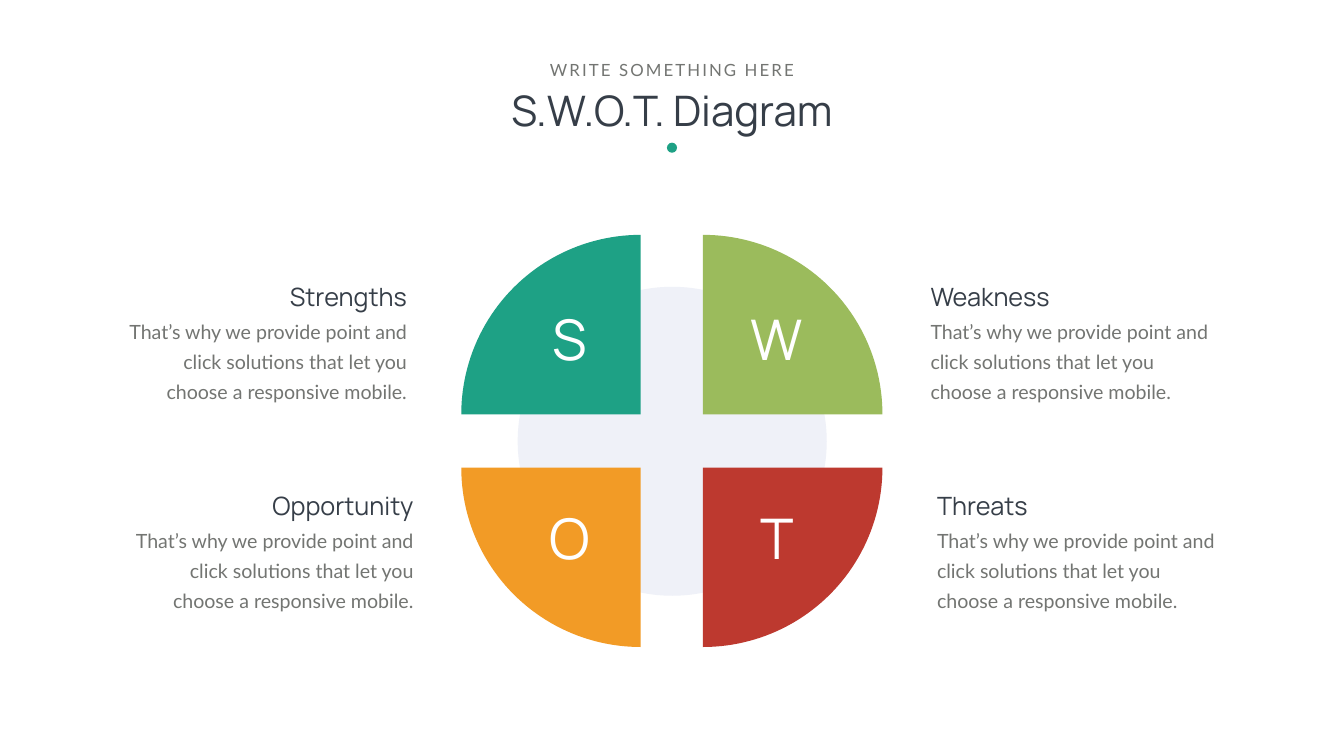
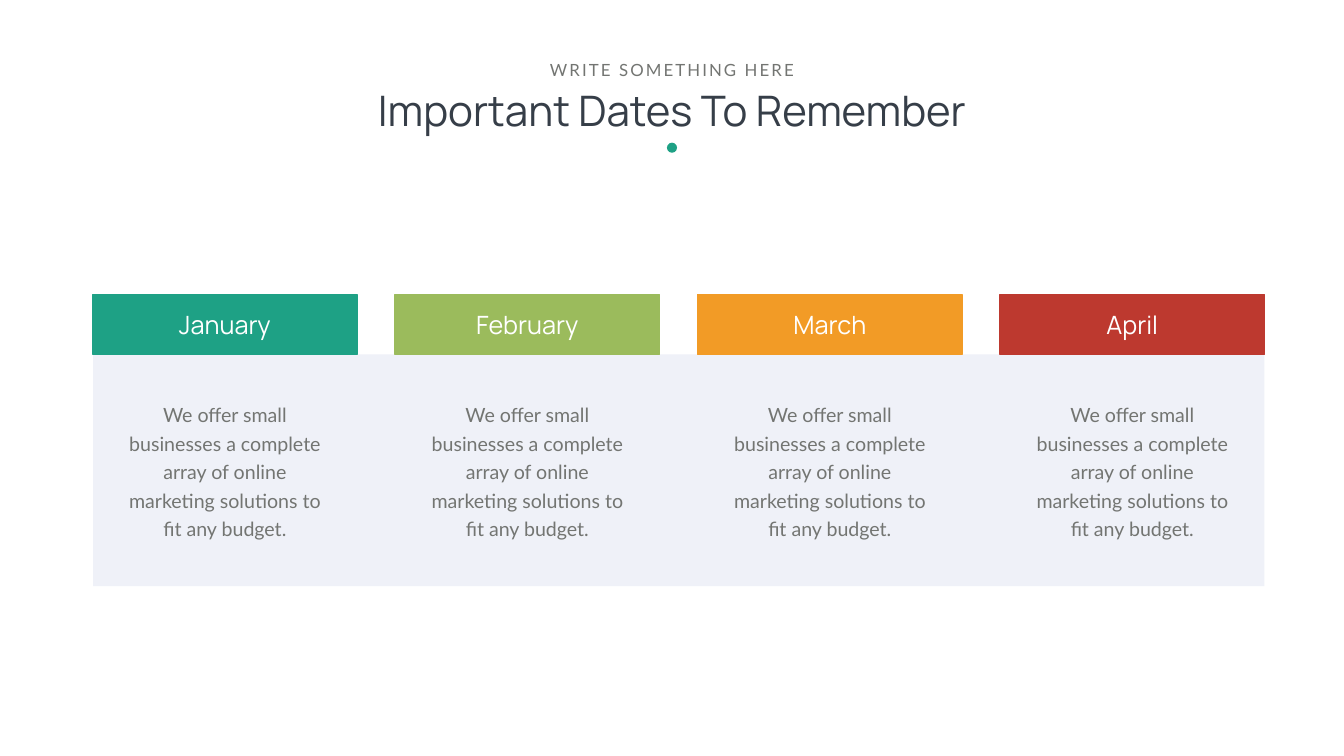
from dataclasses import dataclass

import pptx
import pptx.dml.color
import pptx.enum.shapes
import pptx.enum.text
import pptx.util

Pt = pptx.util.Pt
RGBColor = pptx.dml.color.RGBColor
Align = pptx.enum.text.PP_ALIGN
Shape = pptx.enum.shapes.MSO_SHAPE

WHITE = RGBColor(0xFF, 0xFF, 0xFF)
INK = RGBColor(0x36, 0x3E, 0x48)
GREY = RGBColor(0x73, 0x75, 0x72)
PALE = RGBColor(0xEF, 0xF1, 0xF8)
TEAL = RGBColor(0x1E, 0xA1, 0x85)
GREEN = RGBColor(0x9B, 0xBB, 0x5C)
ORANGE = RGBColor(0xF2, 0x9B, 0x26)
RED = RGBColor(0xBD, 0x39, 0x2F)

SLIDE_W, SLIDE_H = 1919.5, 1080
CENTER = SLIDE_W / 2
TITLE_ONLY = 5

SWOT_TEXT = ("That’s why we provide point and click solutions "
             "that let you choose a responsive mobile.")
MONTH_TEXT = ("We offer small businesses a complete array of online "
              "marketing solutions to fit any budget.")


@dataclass(frozen=True)
class Box:
    left: float
    top: float
    width: float
    height: float

    def lengths(self) -> tuple:
        return Pt(self.left), Pt(self.top), Pt(self.width), Pt(self.height)


@dataclass(frozen=True)
class Style:
    font: str
    size: float
    color: RGBColor
    line: float | None = None
    inset_x: float = 7.2
    inset_y: float = 2
    wrap: bool = True


TITLE = Style("Manrope", 60, INK, inset_x=0, inset_y=0)
KICKER = Style("Lato", 24, GREY, inset_y=3.6, wrap=False)
HEADING = Style("Manrope", 36, INK, wrap=False)
LETTER = Style("Manrope", 80, WHITE, inset_y=0, wrap=False)
MONTH = Style("Manrope", 36, WHITE)
SWOT_BODY = Style("Lato", 28, GREY, line=43)
MONTH_BODY = Style("Lato", 28, GREY, line=40.8)


@dataclass(frozen=True)
class Quadrant:
    name: str
    color: RGBColor
    col: int
    row: int
    rotation: int
    letter_w: float
    name_w: float


QUADRANTS = (
    Quadrant("Weakness", GREEN, 1, 0, 90, 95, 203),
    Quadrant("Strengths", TEAL, 0, 0, 0, 63.4, 191.5),
    Quadrant("Threats", RED, 1, 1, 180, 59.8, 152.6),
    Quadrant("Opportunity", ORANGE, 0, 1, 270, 80, 234.7),
)

MONTHS = (("January", TEAL), ("February", GREEN),
          ("March", ORANGE), ("April", RED))


def write(sp, text: str, style: Style, align: Align):
    """Put one styled paragraph in a shape and return its run."""
    tf = sp.text_frame
    tf.text = text
    tf.word_wrap = style.wrap
    tf.auto_size = pptx.enum.text.MSO_AUTO_SIZE.SHAPE_TO_FIT_TEXT
    tf.vertical_anchor = pptx.enum.text.MSO_ANCHOR.TOP
    tf.margin_left = tf.margin_right = Pt(style.inset_x)
    tf.margin_top = tf.margin_bottom = Pt(style.inset_y)
    p = tf.paragraphs[0]
    p.alignment = align
    if style.line:
        p.line_spacing = Pt(style.line)
    r = p.runs[0]
    r.font.name = style.font
    r.font.size = Pt(style.size)
    r.font.color.rgb = style.color
    return r


def add_text(s, box: Box, text: str, style: Style, align: Align = Align.CENTER):
    return write(s.shapes.add_textbox(*box.lengths()), text, style, align)


def add_block(s, kind: Shape, box: Box, color: RGBColor, line: float = 0):
    sp = s.shapes.add_shape(kind, *box.lengths())
    sp.shadow.inherit = False
    sp.fill.solid()
    sp.fill.fore_color.rgb = color
    if line:
        sp.line.color.rgb = color
        sp.line.width = Pt(line)
    else:
        sp.line.fill.background()
    return sp


def add_titled_slide(prs, title: str):
    """Add a slide with the shared title, kicker and dot."""
    s = prs.slides.add_slide(prs.slide_layouts[TITLE_ONLY])
    sp = s.shapes.title
    sp.left, sp.top, sp.width, sp.height = Box(381.6, 121, 1156.3, 80).lengths()
    write(sp, title, TITLE, Align.CENTER)
    r = add_text(s, Box(CENTER - 185, 81.4, 370, 36), "WRITE SOMETHING HERE", KICKER)
    r.font._element.set("spc", "300")
    add_block(s, Shape.OVAL, Box(CENTER - 7.2, 203.8, 14.4, 14.4), TEAL)
    return s


def add_quadrant(s, q: Quadrant) -> None:
    size = 256.3
    wedge = Box((658.8, 1004)[q.col], (335.5, 668)[q.row], size, size)
    sp = add_block(s, Shape.PIE_WEDGE, wedge, q.color)
    sp.rotation = q.rotation
    letter_left = (813.4, 1109.2)[q.col] - q.letter_w / 2
    letter = Box(letter_left, (434.9, 718.6)[q.row], q.letter_w, 104.4)
    add_text(s, letter, q.name[0], LETTER)

    body_w = 415.4
    left = (172.8, 1321.9)[q.col] + 9.3 * q.row
    align = (Align.RIGHT, Align.LEFT)[q.col]
    add_text(s, Box(left, (445.7, 743.8)[q.row], body_w, 133.2),
             SWOT_TEXT, SWOT_BODY, align)
    name_left = left if q.col else left + body_w - q.name_w
    add_text(s, Box(name_left, (399.6, 698.4)[q.row], q.name_w, 51.1),
             q.name, HEADING, align)


def build_swot(prs) -> None:
    s = add_titled_slide(prs, "S.W.O.T. Diagram")
    add_block(s, Shape.OVAL, Box(739.4, 409.7, 441.4, 441.4), PALE)
    for q in QUADRANTS:
        add_quadrant(s, q)


def build_dates(prs) -> None:
    s = add_titled_slide(prs, "Important Dates To Remember")
    add_block(s, Shape.RECTANGLE, Box(133.2, 506.2, 1672.6, 331.2), PALE)
    tab_w, pitch = 377.3, 432
    for i, (month, color) in enumerate(MONTHS):
        left = 132.5 + i * pitch
        mid = left + tab_w / 2
        add_block(s, Shape.RECTANGLE, Box(left, 420.5, tab_w, 85.7), color, line=2.25)
        add_text(s, Box(mid - 156, 439.2, 312, 51.1), month, MONTH)
        add_text(s, Box(mid - 145.8, 566.6, 291.6, 210.2), MONTH_TEXT, MONTH_BODY)


def main() -> None:
    prs = pptx.Presentation()
    prs.slide_width, prs.slide_height = Pt(SLIDE_W), Pt(SLIDE_H)
    build_swot(prs)
    build_dates(prs)
    prs.save("out.pptx")


if __name__ == "__main__":
    main()
